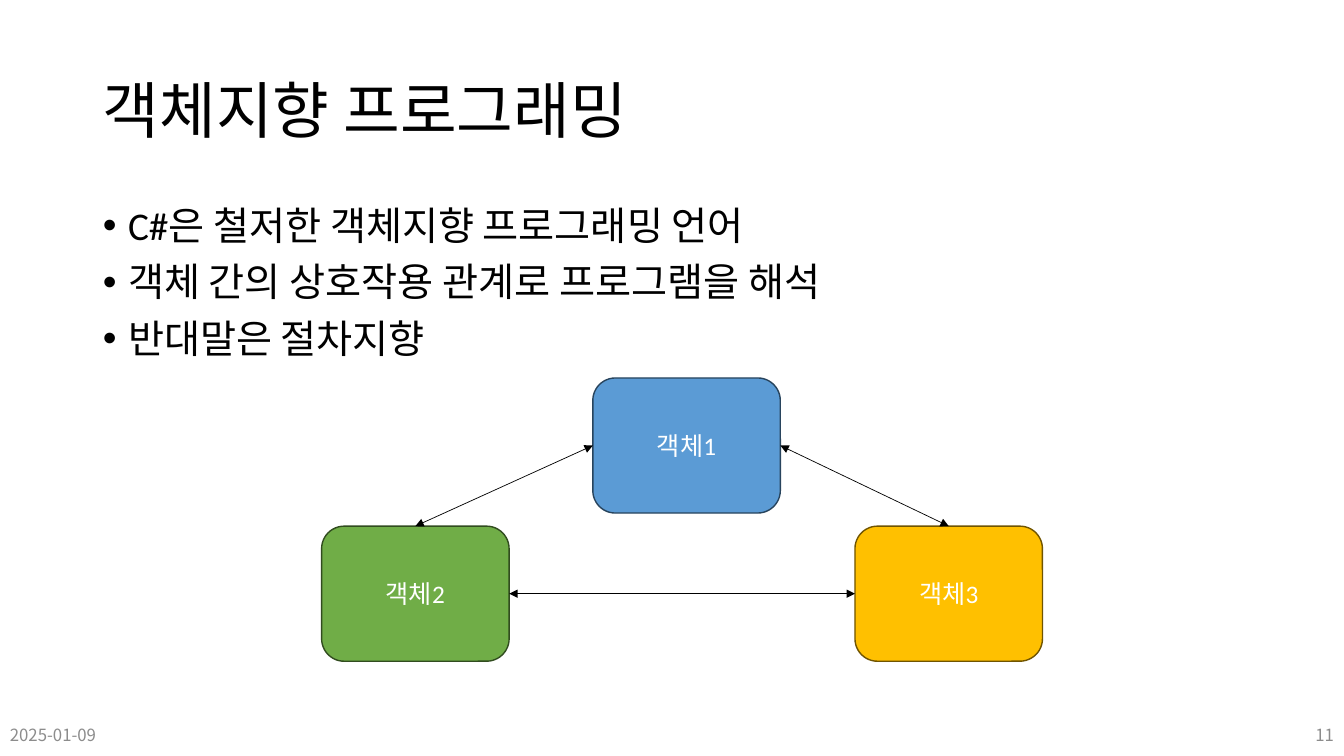
from pptx import Presentation
from pptx.dml.color import RGBColor
from pptx.enum.shapes import MSO_CONNECTOR as CONN, MSO_SHAPE as SHAPE
from pptx.enum.text import MSO_ANCHOR as ANCHOR, MSO_AUTO_SIZE as FIT, PP_ALIGN as ALIGN
from pptx.oxml.ns import qn
from pptx.util import Inches, Pt
from lxml.etree import SubElement

BLACK = RGBColor(0x00, 0x00, 0x00)
WHITE = RGBColor(0xFF, 0xFF, 0xFF)
GRAY = RGBColor(0x8C, 0x8C, 0x8C)
BLUE = RGBColor(0x5B, 0x9B, 0xD5)
BLUE_EDGE = RGBColor(0x28, 0x44, 0x5D)
GREEN = RGBColor(0x70, 0xAD, 0x47)
GREEN_EDGE = RGBColor(0x31, 0x4C, 0x1F)
GOLD = RGBColor(0xFF, 0xC0, 0x00)
GOLD_EDGE = RGBColor(0x70, 0x54, 0x00)
TOP, LEFT, RIGHT = 0, 1, 3


class Deck:
    title_font = "Lato"
    body_font = "Calibri"
    korean_font = "Noto Sans CJK KR"
    box_size = Inches(1.86), Inches(1.34)

    def __init__(self):
        self.prs = Presentation()
        self.prs.slide_width = Inches(13.33)
        self.prs.slide_height = Inches(7.5)
        self.slide = self.prs.slides.add_slide(self.prs.slide_layouts[1])

    def add_text(self, p, text, size, font, color, align=ALIGN.LEFT):
        p.alignment = align
        r = p.add_run()
        r.text = text
        r.font.size = Pt(size)
        r.font.color.rgb = color
        r.font.name = font
        SubElement(r._r.get_or_add_rPr(), qn("a:ea"), typeface=self.korean_font)

    def place(self, sp, left, top, width, height, anchor):
        sp.left, sp.top = Inches(left), Inches(top)
        sp.width, sp.height = Inches(width), Inches(height)
        tf = sp.text_frame
        tf.word_wrap = True
        tf.auto_size = FIT.NONE
        tf.vertical_anchor = anchor
        return tf

    def title(self, text):
        tf = self.place(self.slide.shapes.title, 0.92, 0.4, 11.5, 1.45, ANCHOR.MIDDLE)
        p = tf.paragraphs[0]
        p.line_spacing = 0.9
        self.add_text(p, text, 44, self.title_font, BLACK)

    def bullets(self, items):
        tf = self.place(self.slide.placeholders[1], 0.92, 2, 11.5, 4.76, ANCHOR.TOP)
        for i, item in enumerate(items):
            p = tf.add_paragraph() if i else tf.paragraphs[0]
            p.line_spacing = 0.9
            p.space_before = Pt(10 if i else 0)
            pPr = p._p.get_or_add_pPr()
            pPr.set("marL", str(Inches(0.25)))
            pPr.set("indent", str(Inches(-0.25)))
            SubElement(pPr, qn("a:buFont"), typeface="Arial")
            SubElement(pPr, qn("a:buChar"), char="•")
            self.add_text(p, item, 28, self.body_font, BLACK)

    def footer(self, text, left, align):
        sp = self.slide.shapes.add_textbox(0, 0, 0, 0)
        tf = self.place(sp, left, 7.09, 3, 0.4, ANCHOR.MIDDLE)
        self.add_text(tf.paragraphs[0], text, 12, self.korean_font, GRAY, align)

    def box(self, text, left, top, fill, edge):
        sp = self.slide.shapes.add_shape(
            SHAPE.ROUNDED_RECTANGLE, Inches(left), Inches(top), *self.box_size)
        sp.shadow.inherit = False
        sp.fill.solid()
        sp.fill.fore_color.rgb = fill
        sp.line.color.rgb = edge
        sp.line.width = Pt(1)
        tf = sp.text_frame
        tf.vertical_anchor = ANCHOR.MIDDLE
        self.add_text(tf.paragraphs[0], text, 18, self.body_font, WHITE, ALIGN.CENTER)
        return sp

    def arrow(self, start, start_side, end, end_side):
        cxn = self.slide.shapes.add_connector(CONN.STRAIGHT, 0, 0, 0, 0)
        cxn.begin_connect(start, start_side)
        cxn.end_connect(end, end_side)
        cxn.line.color.rgb = BLACK
        cxn.line.width = Pt(0.5)
        spPr = cxn._element.spPr
        ln = spPr.find(qn("a:ln"))
        for tag in ("a:headEnd", "a:tailEnd"):
            SubElement(ln, qn(tag), type="triangle")
        SubElement(spPr, qn("a:effectLst"))


def main():
    deck = Deck()
    deck.title("객체지향 프로그래밍")
    deck.bullets([
        "C#은 철저한 객체지향 프로그래밍 언어",
        "객체 간의 상호작용 관계로 프로그램을 해석",
        "반대말은 절차지향",
    ])
    deck.footer("2025-01-09", 0, ALIGN.LEFT)
    deck.footer("11", 10.33, ALIGN.RIGHT)

    object2 = deck.box("객체2", 3.19, 5.22, GREEN, GREEN_EDGE)
    object1 = deck.box("객체1", 5.88, 3.75, BLUE, BLUE_EDGE)
    object3 = deck.box("객체3", 8.48, 5.22, GOLD, GOLD_EDGE)
    deck.arrow(object2, TOP, object1, LEFT)
    deck.arrow(object1, RIGHT, object3, TOP)
    deck.arrow(object2, RIGHT, object3, LEFT)

    deck.prs.save("out.pptx")


if __name__ == "__main__":
    main()
